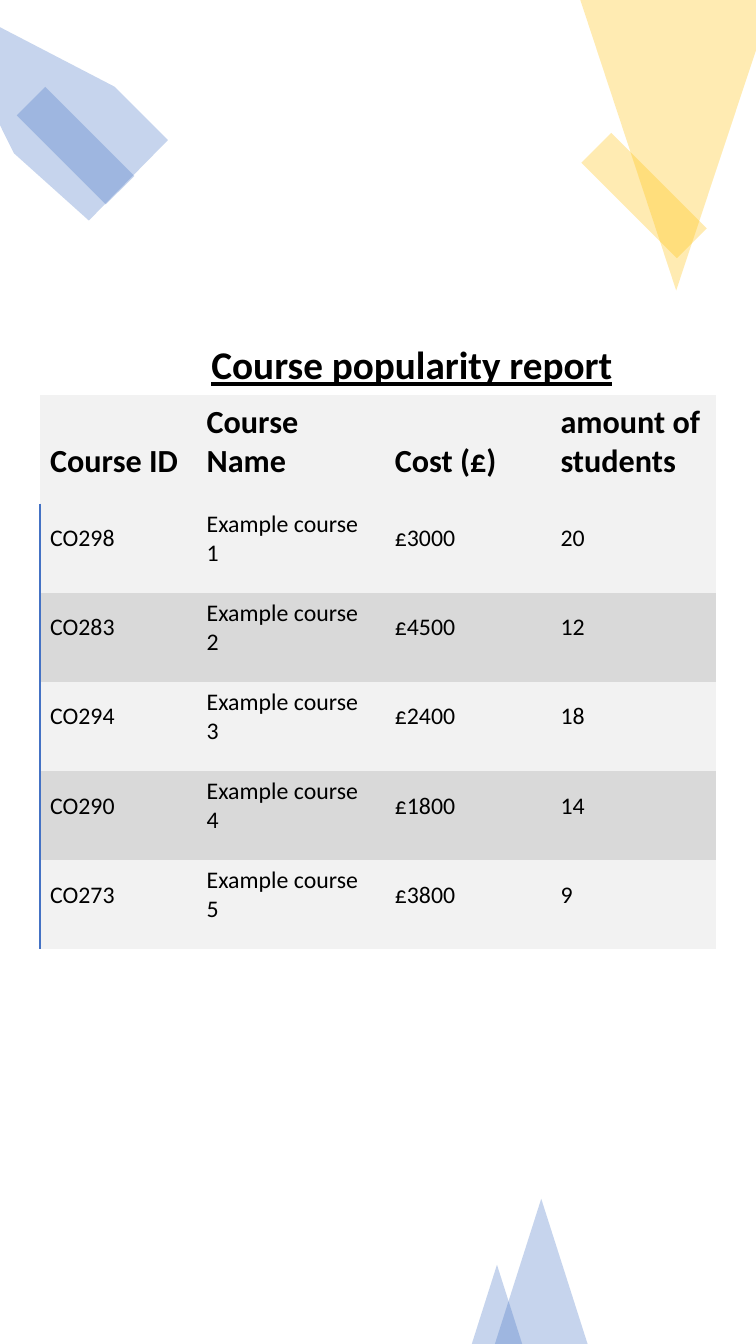
"""Build the course popularity slide."""
from typing import NamedTuple

from lxml import etree
from pptx import Presentation
from pptx import util as u
from pptx.dml import color
from pptx.enum import shapes, text
from pptx.oxml import ns

Pt = u.Pt
BLUE, GOLD, BLACK = "4472C4", "FFC000", "000000"
LIGHT, GREY = "F2F2F2", "D9D9D9"
FONT = "Calibri"
RECT = shapes.MSO_SHAPE.RECTANGLE
PEAK = shapes.MSO_SHAPE.ISOSCELES_TRIANGLE


class Block(NamedTuple):
    """A preset shape in the decor."""
    kind: shapes.MSO_SHAPE
    left: float
    top: float
    width: float
    height: float
    hue: str
    turn: float = 0


class Patch(NamedTuple):
    """A free outline in the decor."""
    points: list[tuple[float, float]]
    hue: str


DECOR: list[Block | Patch] = [
    Patch([(82, 62), (-47, -5), (10, 109.5), (63.5, 157.5), (120, 100)], BLUE),
    Block(RECT, 39.6, 59, 28.8, 90, BLUE, 315),
    Block(RECT, 445, 91.4, 30.2, 96.5, GOLD, 315),
    Patch([(540, 0), (414.5, 0), (483, 207.5), (540, 36)], GOLD),
    Block(PEAK, 353.5, 856.3, 66.2, 103.7, BLUE),
    Block(PEAK, 337, 903.4, 36, 56.6, BLUE),
]

ROWS = [
    ("Course ID", "Course Name", "Cost (£)", "amount of students"),
    ("CO298", "Example course 1", "£3000", "20"),
    ("CO283", "Example course 2", "£4500", "12"),
    ("CO294", "Example course 3", "£2400", "18"),
    ("CO290", "Example course 4", "£1800", "14"),
    ("CO273", "Example course 5", "£3800", "9"),
]
WIDTHS = [111.8, 134.4, 118.4, 118.4]
HEIGHTS = [77.5] + [63.65] * 5


def rgb(code: str) -> color.RGBColor:
    """Turn a hex string into a colour."""
    return color.RGBColor.from_string(code)


def draw(slide, item: Block | Patch) -> None:
    """Draw one translucent decor item."""
    if isinstance(item, Block):
        box = [Pt(n) for n in item[1:5]]
        shape = slide.shapes.add_shape(item.kind, *box)
        shape.rotation = item.turn
    else:
        first, *rest = [(Pt(x), Pt(y)) for x, y in item.points]
        pen = slide.shapes.build_freeform(*first)
        pen.add_line_segments(rest, close=True)
        shape = pen.convert_to_shape()
    shape.shadow.inherit = False
    shape.line.fill.background()
    shape.fill.solid()
    shape.fill.fore_color.rgb = rgb(item.hue)
    tint = shape.fill._xPr.find(".//" + ns.qn("a:srgbClr"))
    etree.SubElement(tint, ns.qn("a:alpha"), val="30000")


def style(frame, size: float, bold: bool, under: bool = False) -> None:
    """Format every run of a text frame."""
    for par in frame.paragraphs:
        for run in par.runs:
            font = run.font
            font.name, font.size = FONT, Pt(size)
            font.bold, font.underline = bold, under
            font.color.rgb = rgb(BLACK)


def edge(cell, left: bool) -> None:
    """Clear the cell borders, keeping a blue left one if asked."""
    props = cell._tc.get_or_add_tcPr()
    for spot, side in enumerate(("lnL", "lnR", "lnT", "lnB")):
        line = etree.Element(ns.qn("a:" + side), w=str(Pt(1)))
        if left and side == "lnL":
            fill = etree.SubElement(line, ns.qn("a:solidFill"))
            etree.SubElement(fill, ns.qn("a:srgbClr"), val=BLUE)
        else:
            etree.SubElement(line, ns.qn("a:noFill"))
        props.insert(spot, line)


def report(slide) -> None:
    """Add the course table."""
    frame = slide.shapes.add_table(
        len(ROWS), len(WIDTHS), Pt(28.6), Pt(282.2),
        Pt(sum(WIDTHS)), Pt(sum(HEIGHTS)))
    table = frame.table
    table.first_row = table.horz_banding = False
    for col, width in zip(table.columns, WIDTHS):
        col.width = Pt(width)
    for r, (row, height) in enumerate(zip(ROWS, HEIGHTS)):
        table.rows[r].height = Pt(height)
        head = r == 0
        for c, words in enumerate(row):
            cell = table.cell(r, c)
            cell.text_frame.text = words
            style(cell.text_frame, 23 if head else 17, head)
            cell.margin_left, cell.margin_top = Pt(7.2), Pt(2.2)
            cell.margin_right, cell.margin_bottom = Pt(10), Pt(15.8)
            cell.vertical_anchor = (
                text.MSO_ANCHOR.BOTTOM if head else text.MSO_ANCHOR.MIDDLE)
            cell.fill.solid()
            dark = not head and r % 2 == 0
            cell.fill.fore_color.rgb = rgb(GREY if dark else LIGHT)
            edge(cell, c == 0 and not head)


def title(slide) -> None:
    """Add the underlined heading."""
    box = slide.shapes.add_textbox(Pt(144), Pt(239.8), Pt(302.4), Pt(41))
    frame = box.text_frame
    frame.text = "Course popularity report"
    frame.word_wrap = False
    frame.auto_size = text.MSO_AUTO_SIZE.SHAPE_TO_FIT_TEXT
    style(frame, 28, True, True)


def main() -> None:
    """Build and save the deck."""
    deck = Presentation()
    deck.slide_width, deck.slide_height = Pt(540), Pt(960)
    slide = deck.slides.add_slide(deck.slide_layouts[6])
    for item in DECOR:
        draw(slide, item)
    report(slide)
    title(slide)
    deck.save("out.pptx")


if __name__ == "__main__":
    main()
